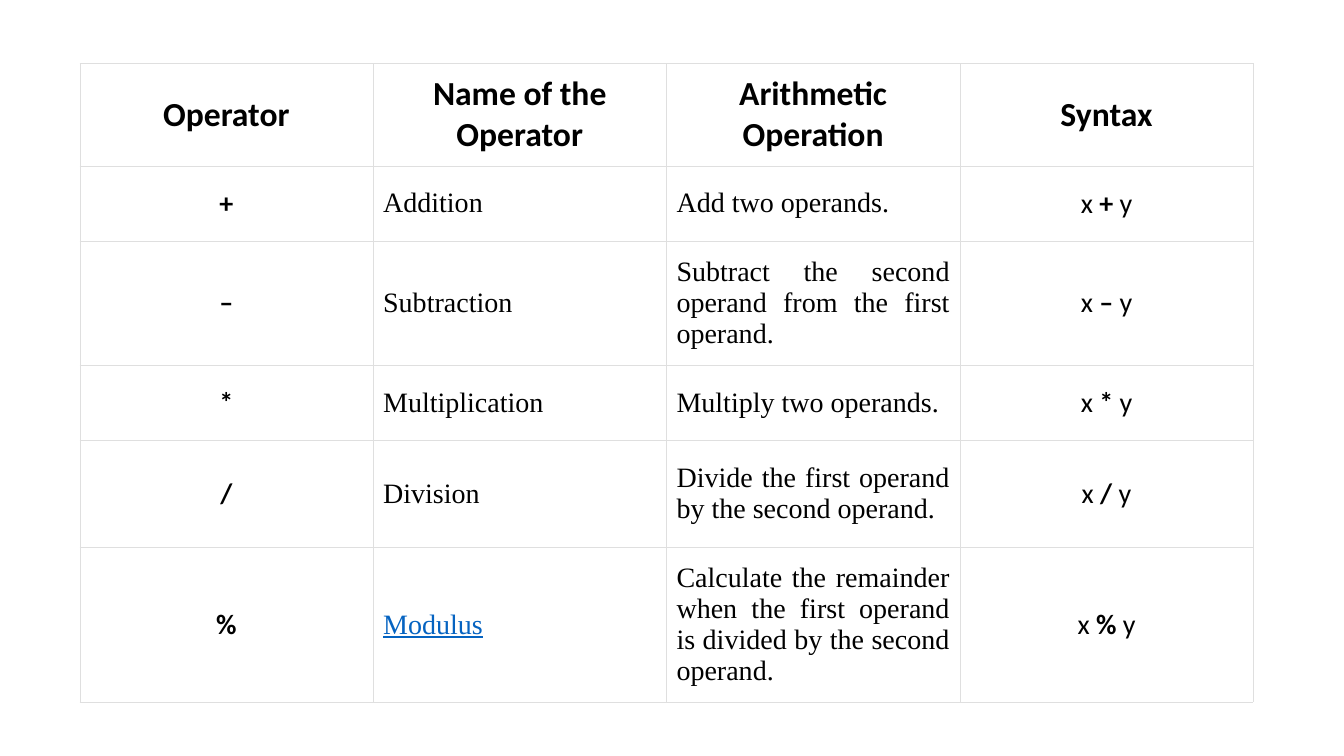
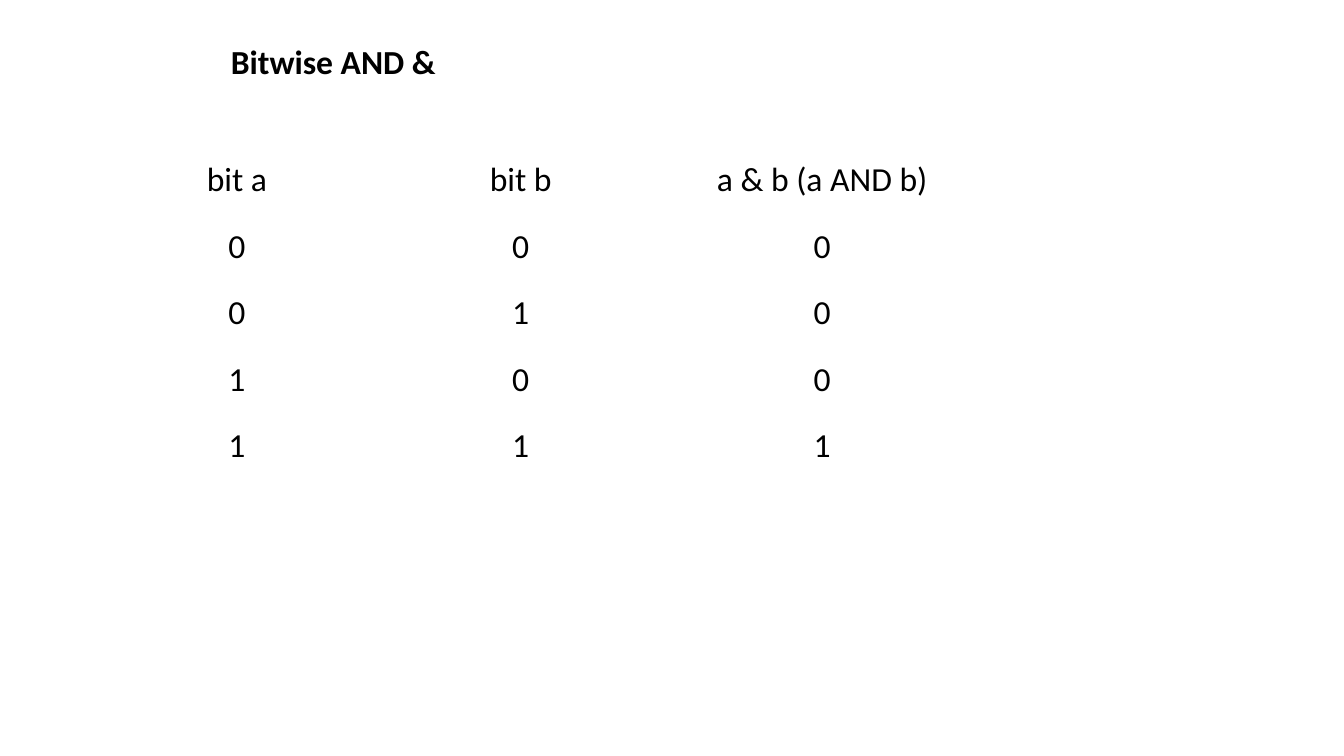
from dataclasses import dataclass

from lxml.etree import SubElement
from pptx import Presentation
from pptx.dml.color import RGBColor
from pptx.enum.text import MSO_ANCHOR, MSO_AUTO_SIZE, PP_ALIGN
from pptx.oxml.ns import qn
from pptx.util import Inches, Pt


@dataclass(frozen=True)
class Theme:
    text: RGBColor = RGBColor.from_string("000000")
    link: RGBColor = RGBColor.from_string("0563C1")
    cell: RGBColor = RGBColor.from_string("FFFFFF")
    border: str = "DFDFDF"
    border_width: int = Pt(0.23)
    sans: str = "Calibri"
    serif: str = "Times New Roman"
    large: int = Pt(24)
    body: int = Pt(20)
    plain_table: str = "{2D5ABB26-0587-4C30-8999-92F81FD0307C}"


theme = Theme()


def add_plain_table(slide, left, top, column_widths, row_heights):
    """Add a table with no style, bands or header formatting."""
    frame = slide.shapes.add_table(
        len(row_heights), len(column_widths), Inches(left), Inches(top),
        Inches(sum(column_widths)), Inches(sum(row_heights)))
    table = frame.table
    table.first_row = False
    table.horz_banding = False
    table._tbl.tblPr.find(qn("a:tableStyleId")).text = theme.plain_table
    for column, width in zip(table.columns, column_widths):
        column.width = Inches(width)
    for row, height in zip(table.rows, row_heights):
        row.height = Inches(height)
    return table


def write_text(text_frame, pieces, size, font=theme.sans, align=PP_ALIGN.CENTER):
    """Write one paragraph from (text, bold) pieces."""
    paragraph = text_frame.paragraphs[0]
    paragraph.alignment = align
    for text, bold in pieces:
        run = paragraph.add_run()
        run.text = text
        run.font.name = font
        run.font.size = size
        run.font.bold = bold
        run.font.color.rgb = theme.text


presentation = Presentation()
presentation.slide_width = Inches(13.33)
presentation.slide_height = Inches(7.5)
title_only_layout = presentation.slide_layouts[5]
blank_layout = presentation.slide_layouts[6]

# Slide 1: arithmetic operators
slide = presentation.slides.add_slide(blank_layout)
headings = ["Operator", "Name of the Operator", "Arithmetic Operation", "Syntax"]
operators = [
    ("+", "Addition", "Add two operands."),
    ("–", "Subtraction", "Subtract the second operand from the first operand."),
    ("*", "Multiplication", "Multiply two operands."),
    ("/", "Division", "Divide the first operand by the second operand."),
    ("%", "Modulus", "Calculate the remainder when the first operand is "
                     "divided by the second operand."),
]
table = add_plain_table(slide, 0.79, 0.63, [2.91] * 4,
                        [0.66, 0.75, 1.06, 0.75, 1.06, 1.37])

for column, heading in enumerate(headings):
    write_text(table.cell(0, column).text_frame, [(heading, True)], theme.large)

for row, (symbol, name, operation) in enumerate(operators, start=1):
    write_text(table.cell(row, 0).text_frame, [(symbol, True)], theme.body)
    for column, text in ((1, name), (2, operation)):
        write_text(table.cell(row, column).text_frame, [(text, False)],
                   theme.body, theme.serif, PP_ALIGN.JUSTIFY)
    write_text(table.cell(row, 3).text_frame,
               [("x ", False), (symbol, True), (" y", False)], theme.body)

modulus_font = table.cell(5, 1).text_frame.paragraphs[0].runs[0].font
modulus_font.color.rgb = theme.link
modulus_font.underline = True

# Cell margins, fills and thin borders
for row_index, row in enumerate(table.rows):
    for cell in row.cells:
        cell.vertical_anchor = MSO_ANCHOR.MIDDLE
        cell.margin_left = cell.margin_right = Inches(0.1)
        cell.margin_top = cell.margin_bottom = Inches(0.15 if row_index else 0.1)
        properties = cell._tc.get_or_add_tcPr()
        for side in ("a:lnL", "a:lnR", "a:lnT", "a:lnB"):
            line = SubElement(properties, qn(side), w=str(theme.border_width))
            line_fill = SubElement(line, qn("a:solidFill"))
            SubElement(line_fill, qn("a:srgbClr"), val=theme.border)
        cell.fill.solid()
        cell.fill.fore_color.rgb = theme.cell
first_cell = table.cell(0, 0)
first_cell.margin_left = first_cell.margin_right = Inches(0.04)

# Slide 2: title
slide = presentation.slides.add_slide(title_only_layout)
title = slide.shapes.title
title.left, title.top = Inches(2.19), Inches(0.36)
title.width, title.height = Inches(2.25), Inches(0.5)
title.text_frame.word_wrap = False
title.text_frame.auto_size = MSO_AUTO_SIZE.SHAPE_TO_FIT_TEXT
title.text_frame.vertical_anchor = MSO_ANCHOR.TOP
write_text(title.text_frame, [("Bitwise AND &", True)], theme.large,
           align=PP_ALIGN.LEFT)

# Slide 2: truth table
truth_rows = [("bit a", "bit b", "a & b (a AND b)")]
truth_rows += [(str(a), str(b), str(a & b)) for a in (0, 1) for b in (0, 1)]
table = add_plain_table(slide, 1.03, 1.46, [2.64, 2.99, 2.99],
                        [0.66] * len(truth_rows))
for row, values in enumerate(truth_rows):
    for column, value in enumerate(values):
        cell = table.cell(row, column)
        cell.fill.background()
        cell.vertical_anchor = MSO_ANCHOR.MIDDLE
        write_text(cell.text_frame, [(value, False)], theme.large)

presentation.save("out.pptx")
